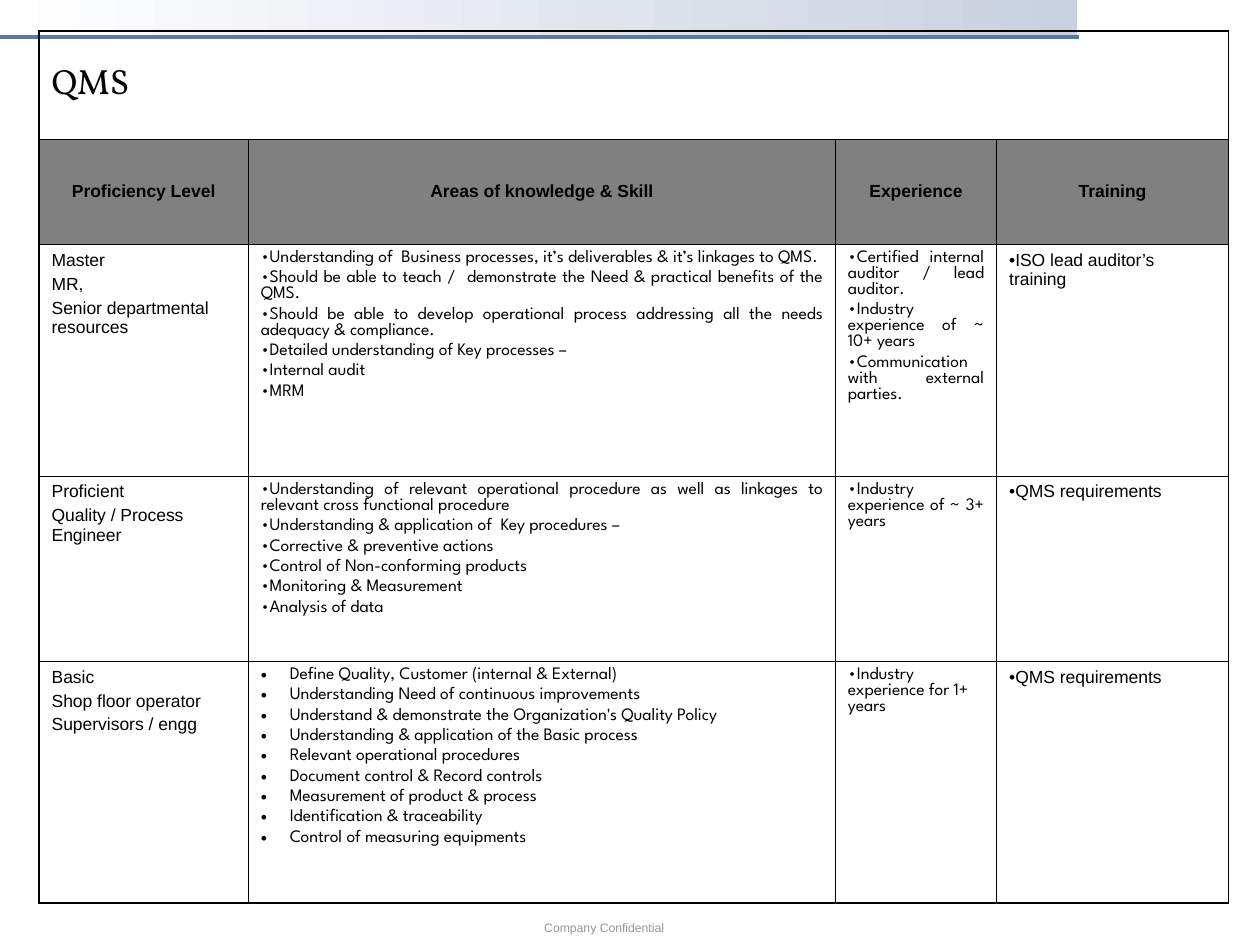
from dataclasses import dataclass, field

from lxml.etree import SubElement
from pptx import Presentation
from pptx.dml.color import RGBColor as Color
from pptx.enum.shapes import MSO_CONNECTOR as Connector, MSO_SHAPE as Shape
from pptx.enum.text import MSO_ANCHOR as Anchor, PP_ALIGN as Align
from pptx.oxml import parse_xml
from pptx.oxml.ns import nsdecls, qn
from pptx.util import Emu, Inches, Pt

SLIDE_W, SLIDE_H = Inches(10), Inches(7.5)
COLUMNS = (1.66, 4.66, 1.28, 1.84)
ROWS = (0.86, 0.83, 1.84, 1.47, 1.92)
LAST_COL, LAST_ROW = len(COLUMNS) - 1, len(ROWS) - 1


@dataclass(frozen=True)
class Theme:
    ink: str = "000000"
    header: str = "808080"
    rule: str = "5D78A3"
    band_start: str = "FFFFFF"
    band_end: str = "C8D1E0"
    footer: str = "969696"
    sans: str = "Arial"
    detail: str = "League Spartan"
    serif: str = "Vollkorn"
    title_size: float = 20
    body_size: float = 10
    footer_size: float = 7
    inner_border: float = 0.45
    outer_border: float = 1.08


THEME = Theme()


@dataclass(frozen=True)
class Style:
    font: dict
    color: str = THEME.ink
    layout: dict = field(default_factory=dict)
    gap: float = 2.5
    bulleted: bool = False


@dataclass(frozen=True)
class Level:
    roles: list[str]
    skills: list[str]
    experience: list[str]
    training: list[str]
    skill_style: Style
    experience_style: Style


SANS = {"name": THEME.sans, "size": Pt(THEME.body_size), "bold": False}
DETAIL = SANS | {"name": THEME.detail}
TITLE = Style(SANS | {"name": THEME.serif, "size": Pt(THEME.title_size)})
HEADER = Style(SANS | {"bold": True}, layout={"alignment": Align.CENTER})
PLAIN = Style(SANS)
RAGGED = Style(DETAIL)
JUSTIFIED = Style(DETAIL, layout={"alignment": Align.JUSTIFY})
BULLETED = Style(DETAIL, bulleted=True)
FOOTER = Style(SANS | {"size": Pt(THEME.footer_size)}, color=THEME.footer)

HEADINGS = ("Proficiency Level", "Areas of knowledge & Skill", "Experience", "Training")
LEVELS = (
    Level(
        ["Master", "MR,", "Senior departmental resources"],
        ["•Understanding of  Business processes, it’s deliverables & it’s linkages to QMS.",
         "•Should be able to teach /  demonstrate the Need & practical benefits of the QMS.",
         "•Should be able to develop operational process addressing all the needs "
         "adequacy & compliance.",
         "•Detailed understanding of Key processes –",
         "•Internal audit",
         "•MRM"],
        ["•Certified internal auditor / lead auditor.",
         "•Industry experience of ~ 10+ years",
         "•Communication with external parties."],
        ["•ISO lead auditor’s training"],
        JUSTIFIED, JUSTIFIED),
    Level(
        ["Proficient", "Quality / Process Engineer"],
        ["•Understanding of relevant operational procedure as well as linkages to "
         "relevant cross functional procedure",
         "•Understanding & application of  Key procedures –",
         "•Corrective & preventive actions",
         "•Control of Non-conforming products",
         "•Monitoring & Measurement",
         "•Analysis of data"],
        ["•Industry experience of ~ 3+ years"],
        ["•QMS requirements"],
        JUSTIFIED, JUSTIFIED),
    Level(
        ["Basic", "Shop floor operator", "Supervisors / engg"],
        ["Define Quality, Customer (internal & External)",
         "Understanding Need of continuous improvements",
         "Understand & demonstrate the Organization's Quality Policy",
         "Understanding & application of the Basic process",
         "Relevant operational procedures",
         "Document control & Record controls",
         "Measurement of product & process",
         "Identification & traceability",
         "Control of measuring equipments"],
        ["•Industry experience for 1+ years"],
        ["•QMS requirements"],
        BULLETED, RAGGED),
)


def share(x: float, y: float) -> tuple[Emu, Emu]:
    """Turn shares of the slide's width and height into lengths."""
    return Emu(round(SLIDE_W * x)), Emu(round(SLIDE_H * y))


def apply(target, values: dict) -> None:
    for name, value in values.items():
        setattr(target, name, value)


def add_bullet(paragraph) -> None:
    props = paragraph._p.get_or_add_pPr()
    indent = Inches(0.23)
    props.set("marL", str(indent))
    props.set("indent", str(-indent))
    bullet_color = SubElement(props, qn("a:buClr"))
    SubElement(bullet_color, qn("a:srgbClr"), val=THEME.ink)
    SubElement(props, qn("a:buFont"), typeface=THEME.sans)
    SubElement(props, qn("a:buChar"), char="•")


def write(frame, lines: list[str], style: Style) -> None:
    for index, line in enumerate(lines):
        paragraph = frame.add_paragraph() if index else frame.paragraphs[0]
        if index:
            paragraph.space_before = Pt(style.gap)
        apply(paragraph, style.layout)
        if style.bulleted:
            add_bullet(paragraph)
        run = paragraph.add_run()
        run.text = line
        apply(run.font, style.font)
        run.font.color.rgb = Color.from_string(style.color)


def set_borders(cell, row: int, first_col: int, last_col: int) -> None:
    outer = {"L": first_col == 0, "R": last_col == LAST_COL,
             "T": row == 0, "B": row == LAST_ROW}
    props = cell._tc.get_or_add_tcPr()
    for index, (side, is_outer) in enumerate(outer.items()):
        width = Pt(THEME.outer_border if is_outer else THEME.inner_border)
        props.insert(index, parse_xml(
            f'<a:ln{side} {nsdecls("a")} w="{width}"><a:solidFill>'
            f'<a:srgbClr val="{THEME.ink}"/></a:solidFill></a:ln{side}>'))


def add_top_band(slide) -> None:
    band = slide.shapes.add_shape(Shape.RECTANGLE, 0, 0, *share(0.855, 0.04))
    band.shadow.inherit = False
    band.line.fill.background()
    band.fill.gradient()
    band.fill.gradient_angle = 0
    for stop, color in zip(band.fill.gradient_stops, (THEME.band_start, THEME.band_end)):
        stop.color.rgb = Color.from_string(color)
    start, end = share(0, 0.039), share(0.856, 0.039)
    rule = slide.shapes.add_connector(Connector.STRAIGHT, *start, *end)
    rule.line.color.rgb = Color.from_string(THEME.rule)
    rule.line.width = Pt(2.25)
    SubElement(rule._element.spPr, qn("a:effectLst"))


def add_footer(slide) -> None:
    box = slide.shapes.add_textbox(*share(0.421, 0.967), *share(0.156, 0.029))
    apply(box.text_frame, {"word_wrap": True,
                           "margin_left": Inches(0.11), "margin_right": Inches(0.11)})
    write(box.text_frame, ["Company Confidential"], FOOTER)


def add_skill_matrix(slide) -> None:
    size = Inches(sum(COLUMNS)), Inches(sum(ROWS))
    frame = slide.shapes.add_table(len(ROWS), len(COLUMNS), *share(0.031, 0.033), *size)
    matrix = frame.table
    apply(matrix, {"first_row": False, "horz_banding": False})
    for column, width in zip(matrix.columns, COLUMNS):
        column.width = Inches(width)
    for row, height in zip(matrix.rows, ROWS):
        row.height = Inches(height)
    matrix.cell(0, 0).merge(matrix.cell(0, LAST_COL))

    # Wording and style of each row
    content = [[(["QMS"], TITLE)], [([heading], HEADER) for heading in HEADINGS]]
    content += [[(level.roles, PLAIN), (level.skills, level.skill_style),
                 (level.experience, level.experience_style), (level.training, PLAIN)]
                for level in LEVELS]
    for row, entries in enumerate(content):
        for col, (lines, style) in enumerate(entries):
            cell = matrix.cell(row, col)
            apply(cell, {"margin_left": Inches(0.1), "margin_right": Inches(0.1),
                         "margin_top": Inches(0.05), "margin_bottom": Inches(0.05),
                         "vertical_anchor": Anchor.MIDDLE if row < 2 else Anchor.TOP})
            write(cell.text_frame, lines, style)

    # Fills and borders
    for row in range(len(ROWS)):
        for col in range(len(COLUMNS)):
            cell = matrix.cell(row, col)
            if row == 1:
                cell.fill.solid()
                cell.fill.fore_color.rgb = Color.from_string(THEME.header)
            else:
                cell.fill.background()
            set_borders(cell, row, col if row else 0, col if row else LAST_COL)


def main() -> None:
    deck = Presentation()
    apply(deck, {"slide_width": SLIDE_W, "slide_height": SLIDE_H})
    slide = deck.slides.add_slide(deck.slide_layouts[6])
    add_top_band(slide)
    add_footer(slide)
    add_skill_matrix(slide)
    deck.save("out.pptx")


if __name__ == "__main__":
    main()
